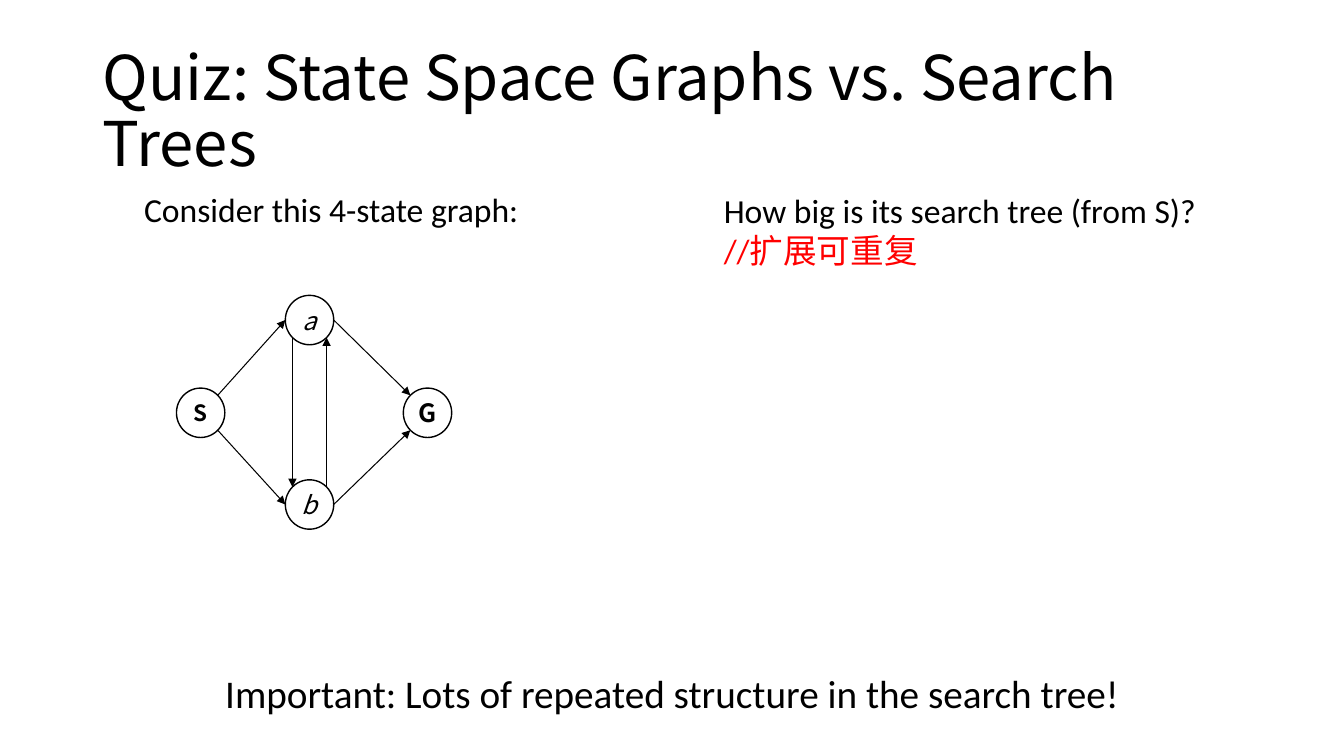
from dataclasses import dataclass
from math import sqrt

from lxml import etree
from pptx import Presentation
from pptx.dml.color import RGBColor
from pptx.enum.shapes import MSO_CONNECTOR, MSO_SHAPE
from pptx.enum.text import MSO_ANCHOR, MSO_AUTO_SIZE, PP_ALIGN
from pptx.oxml.ns import qn
from pptx.util import Inches, Pt


@dataclass(frozen=True)
class Theme:
    ink: RGBColor = RGBColor(0, 0, 0)
    accent: RGBColor = RGBColor(255, 0, 0)
    heading_font: str = "Noto Sans CJK SC"
    body_font: str = "Calibri"
    title_size: int = 44
    takeaway_size: int = 28
    body_size: int = 24
    node_size: int = 18
    start_size: int = 16


THEME = Theme()


def add_run(paragraph, text, font, size, color=THEME.ink, bold=False, italic=False):
    run = paragraph.add_run()
    run.text = text
    run.font.name, run.font.size = font, Pt(size)
    run.font.bold, run.font.italic = bold, italic
    run.font.color.rgb = color
    east_asian = etree.SubElement(run.font._element, qn("a:ea"))
    east_asian.set("typeface", THEME.heading_font)


deck = Presentation()
deck.slide_width, deck.slide_height = Inches(13.33), Inches(7.5)
slide = deck.slides.add_slide(deck.slide_layouts[5])

# Title
title = slide.shapes.title
title.left, title.top = Inches(0.92), Inches(0.4)
title.width, title.height = Inches(11.5), Inches(1.45)
title.text_frame.auto_size = MSO_AUTO_SIZE.NONE
title.text_frame.vertical_anchor = MSO_ANCHOR.MIDDLE
heading = title.text_frame.paragraphs[0]
heading.alignment, heading.line_spacing = PP_ALIGN.LEFT, 0.9
add_run(heading, "Quiz: State Space Graphs vs. Search Trees",
        THEME.heading_font, THEME.title_size)

# States: left, top, text size, bold, italic
NODE_W, NODE_H = 0.48, 0.49
states = {
    "S": (1.75, 3.85, THEME.start_size, True, False),
    "G": (4, 3.85, THEME.node_size, True, False),
    "b": (2.83, 4.76, THEME.node_size, False, True),
    "a": (2.83, 2.93, THEME.node_size, False, True),
}
for state, (left, top, size, bold, italic) in states.items():
    node = slide.shapes.add_shape(
        MSO_SHAPE.FLOWCHART_CONNECTOR,
        Inches(left), Inches(top), Inches(NODE_W), Inches(NODE_H))
    node.shadow.inherit = False
    node.fill.background()
    node.line.color.rgb, node.line.width = THEME.ink, Pt(1)
    node.text_frame.word_wrap = False
    node.text_frame.vertical_anchor = MSO_ANCHOR.MIDDLE
    label = node.text_frame.paragraphs[0]
    label.alignment = PP_ALIGN.CENTER
    add_run(label, state, THEME.heading_font, size, bold=bold, italic=italic)

# Directed edges: each end is a state and a direction from its centre
DIAGONAL = 1 / sqrt(2)
EAST, WEST = (1, 0), (-1, 0)
NORTH_EAST, NORTH_WEST = (DIAGONAL, -DIAGONAL), (-DIAGONAL, -DIAGONAL)
SOUTH_EAST, SOUTH_WEST = (DIAGONAL, DIAGONAL), (-DIAGONAL, DIAGONAL)
edges = [
    ("S", SOUTH_EAST, "b", WEST),
    ("a", SOUTH_WEST, "b", NORTH_WEST),
    ("b", NORTH_EAST, "a", SOUTH_EAST),
    ("a", EAST, "G", NORTH_WEST),
    ("b", EAST, "G", SOUTH_WEST),
    ("S", NORTH_EAST, "a", WEST),
]
for source, leaving, target, entering in edges:
    ends = []
    for state, (dx, dy) in ((source, leaving), (target, entering)):
        left, top = states[state][:2]
        ends += [Inches(left + NODE_W / 2 * (1 + dx)),
                 Inches(top + NODE_H / 2 * (1 + dy))]
    edge = slide.shapes.add_connector(MSO_CONNECTOR.STRAIGHT, *ends)
    edge.line.color.rgb, edge.line.width = THEME.ink, Pt(0.75)
    arrowhead = etree.SubElement(edge.line._get_or_add_ln(), qn("a:tailEnd"))
    arrowhead.set("type", "triangle")
    etree.SubElement(edge._element.spPr, qn("a:effectLst"))

# Questions and takeaway: box, alignment, size, lines with colours
notes = [
    ((1.33, 1.83, 4.25, 0.5), PP_ALIGN.LEFT, THEME.body_size,
     [("Consider this 4-state graph:", THEME.ink)]),
    ((0, 6.59, 13.33, 0.57), PP_ALIGN.CENTER, THEME.takeaway_size,
     [("Important: Lots of repeated structure in the search tree!", THEME.ink)]),
    ((7.08, 1.83, 5.58, 0.91), PP_ALIGN.LEFT, THEME.body_size,
     [("How big is its search tree (from S)?", THEME.ink),
      ("//扩展可重复", THEME.accent)]),
]
for box, alignment, size, lines in notes:
    frame = slide.shapes.add_textbox(*map(Inches, box)).text_frame
    frame.word_wrap = True
    frame.auto_size = MSO_AUTO_SIZE.SHAPE_TO_FIT_TEXT
    for index, (text, color) in enumerate(lines):
        paragraph = frame.add_paragraph() if index else frame.paragraphs[0]
        paragraph.alignment = alignment
        add_run(paragraph, text, THEME.body_font, size, color)

deck.save("out.pptx")
